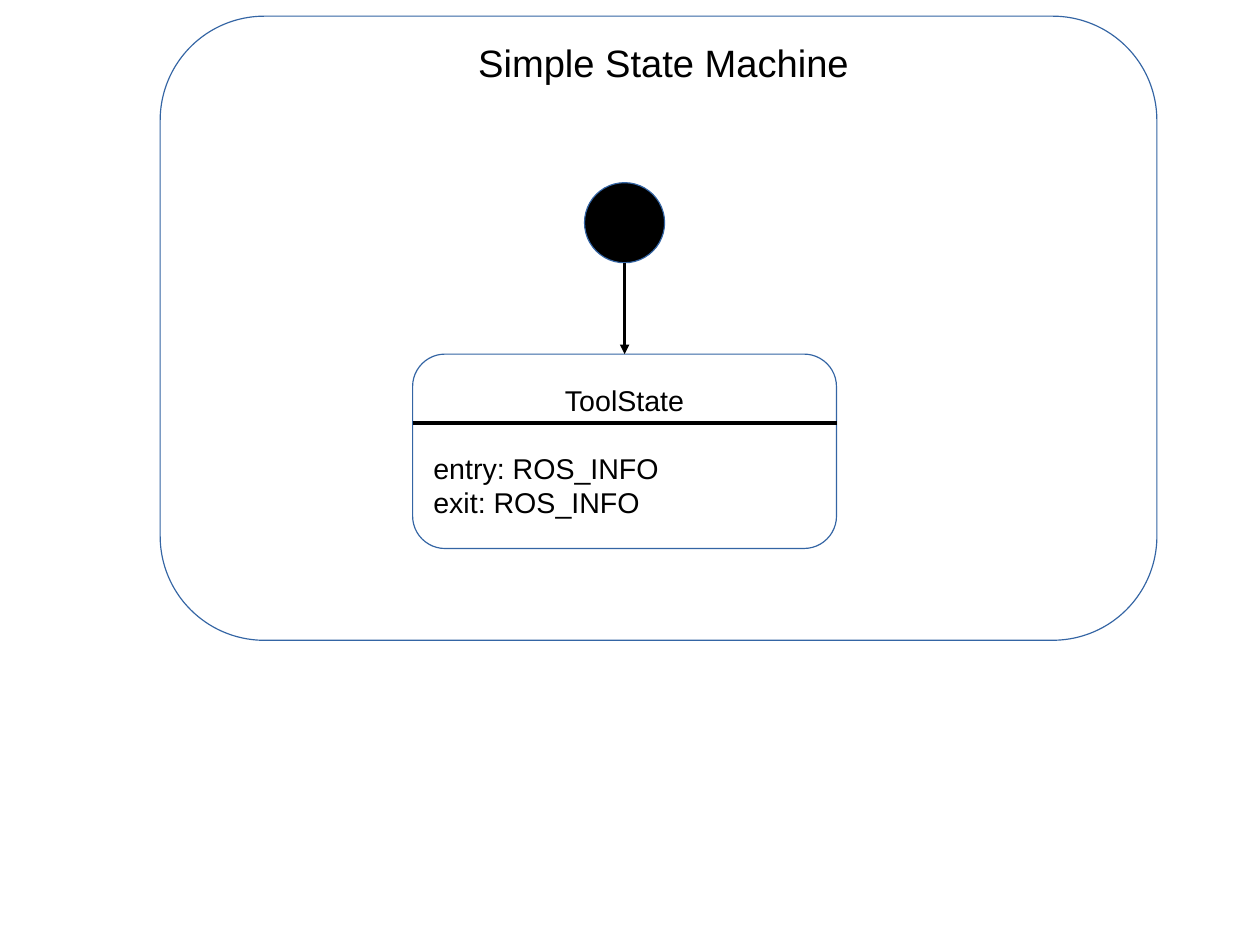
from lxml.etree import SubElement
from pptx import Presentation
from pptx.dml.color import RGBColor
from pptx.enum.shapes import MSO_CONNECTOR as Connector, MSO_SHAPE as Shape
from pptx.enum.text import MSO_ANCHOR as Anchor, PP_ALIGN as Align
from pptx.oxml.ns import qn
from pptx.util import Cm, Pt

BLACK, WHITE, BLUE = "000000", "FFFFFF", "3465A4"
CORNER = 0.167
TOP_SITE, BOTTOM_SITE, ELLIPSE_BOTTOM_SITE = 0, 2, 4


def color(hex_string):
    return RGBColor.from_string(hex_string)


def add_outlined(slide, kind, box, fill):
    shape = slide.shapes.add_shape(kind, *map(Cm, box))
    shape.shadow.inherit = False
    shape.fill.solid()
    shape.fill.fore_color.rgb = color(fill)
    shape.line.color.rgb = color(BLUE)
    shape.line.width = Pt(0)
    if kind == Shape.ROUNDED_RECTANGLE:
        shape.adjustments[0] = CORNER
    return shape


def add_line(slide, start, end):
    line = slide.shapes.add_connector(Connector.STRAIGHT, *map(Cm, start + end))
    line.line.color.rgb = color(BLACK)
    line.line.width = Pt(0)
    SubElement(line._element.spPr, qn("a:effectLst"))
    return line


def write(frame, lines, size, anchor):
    """Fill a text frame with (text, paragraph format) pairs."""
    frame.word_wrap = True
    frame.vertical_anchor = anchor
    for index, (text, paragraph_format) in enumerate(lines):
        paragraph = frame.add_paragraph() if index else frame.paragraphs[0]
        paragraph.text = text
        for name, value in paragraph_format.items():
            setattr(paragraph, name, value)
        font = paragraph.runs[0].font
        font.name, font.size = "Arial", Pt(size)
        font.color.rgb = color(BLACK)


def add_state(slide, box):
    """Draw a state: its name above a divider, its actions below."""
    left, top, width, _ = box
    state = add_outlined(slide, Shape.ROUNDED_RECTANGLE, box, WHITE)
    write(state.text_frame, [
        ("ToolState", {"alignment": Align.CENTER}),
        ("entry: ROS_INFO", {"alignment": Align.LEFT, "space_before": Pt(21)}),
        ("exit: ROS_INFO", {"alignment": Align.LEFT}),
    ], 18, Anchor.MIDDLE)
    divider = top + 1.53
    add_line(slide, (left, divider), (left + width, divider))
    return state


def add_transition(slide, initial, state):
    arrow = add_line(slide, (0, 0), (0, 0))
    arrow.begin_connect(initial, BOTTOM_SITE)
    arrow.end_connect(state, TOP_SITE)
    # An ellipse has eight connection sites, so its bottom has another number.
    arrow._element.nvCxnSpPr.cNvCxnSpPr.stCxn.idx = ELLIPSE_BOTTOM_SITE
    SubElement(arrow.line._get_or_add_ln(), qn("a:tailEnd"), type="triangle")


def add_state_machine(slide, box):
    left, top, _, _ = box
    add_outlined(slide, Shape.ROUNDED_RECTANGLE, box, WHITE)
    title_box = (left + 6.37, top + 0.4, 9.63, 3.4)
    title = slide.shapes.add_textbox(*map(Cm, title_box))
    write(title.text_frame,
          [("Simple State Machine", {"alignment": Align.CENTER})], 24, Anchor.TOP)
    state = add_state(slide, (left + 5.61, top + 7.51, 9.42, 4.32))
    initial_box = (left + 9.43, top + 3.7, 1.78, 1.78)
    initial = add_outlined(slide, Shape.OVAL, initial_box, BLACK)
    add_transition(slide, initial, state)


def main():
    presentation = Presentation()
    presentation.slide_width, presentation.slide_height = Cm(28), Cm(21)
    slide = presentation.slides.add_slide(presentation.slide_layouts[6])
    add_state_machine(slide, (3.56, 0.36, 22.15, 13.87))
    presentation.save("out.pptx")


if __name__ == "__main__":
    main()
